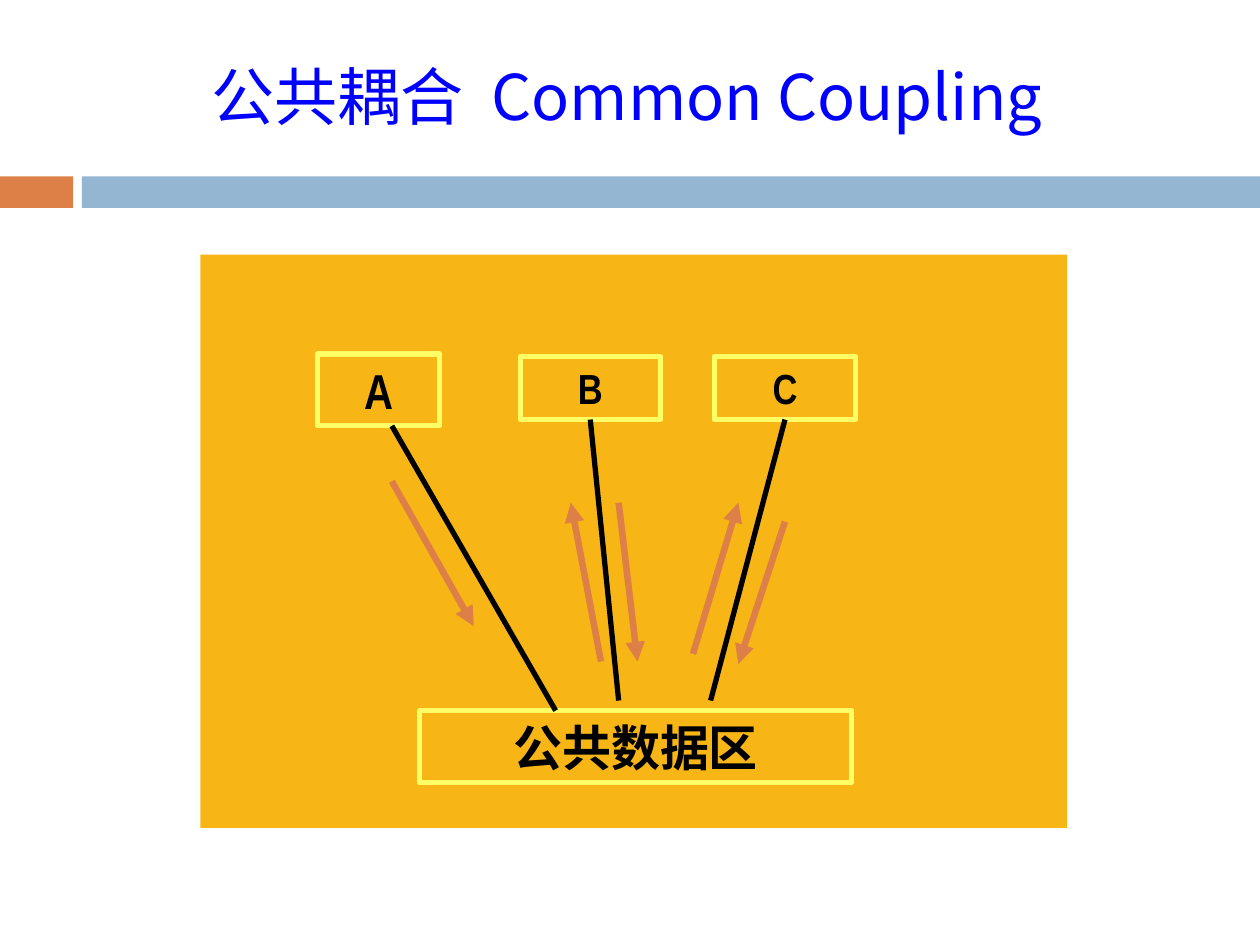
from typing import NamedTuple, Optional

from lxml import etree
from pptx import Presentation
from pptx.dml.color import RGBColor
from pptx.enum import shapes, text
from pptx.oxml import ns
from pptx.util import Inches, Pt

BLACK = RGBColor(0, 0, 0)
BLUE = RGBColor(0, 0, 0xFF)
ORANGE = RGBColor(0xDD, 0x80, 0x47)
SKY = RGBColor(0x94, 0xB6, 0xD2)
GOLD = RGBColor(0xF7, 0xB6, 0x15)
YELLOW = RGBColor(0xFF, 0xFF, 0x66)
HAN = "Noto Sans CJK SC"
LATIN = "Arial Narrow"


class Area(NamedTuple):
    left: float
    top: float
    width: float
    height: float


class Box(NamedTuple):
    label: str
    area: Area
    size: int


class Link(NamedTuple):
    start: tuple[float, float]
    end: tuple[float, float]
    source: Optional[str] = None


BANDS = [
    (Area(0, 1.4, 0.58, 0.25), ORANGE),
    (Area(0.65, 1.4, 9.35, 0.25), SKY),
    (Area(1.59, 2.02, 6.88, 4.55), GOLD),
]
BOXES = [
    Box("A", Area(2.52, 2.81, 0.97, 0.57), 28),
    Box("B", Area(4.13, 2.83, 1.11, 0.5), 24),
    Box("C", Area(5.67, 2.83, 1.12, 0.5), 24),
    Box("公共数据区", Area(3.33, 5.64, 3.43, 0.57), 28),
]
LINKS = [
    Link((4.68, 3.38), (4.91, 5.56), "B"),
    Link((6.23, 3.38), (5.64, 5.56), "C"),
    Link((3.11, 3.38), (4.41, 5.64)),
]
FLOWS = [
    Link((5.5, 5.19), (5.86, 3.99)),
    Link((6.23, 4.14), (5.86, 5.27)),
    Link((4.91, 3.99), (5.06, 5.25)),
    Link((4.77, 5.25), (4.53, 3.99)),
    Link((3.11, 3.82), (3.76, 4.97)),
]


def write(shape, *parts: str, size: int, font: str, color: RGBColor,
          bold: bool = False, gap: int = 0) -> None:
    """Centre the parts in one line; gap (points) widens a lone space."""
    frame = shape.text_frame
    frame.word_wrap = True
    frame.vertical_anchor = text.MSO_ANCHOR.MIDDLE
    para = frame.paragraphs[0]
    para.alignment = text.PP_ALIGN.CENTER
    for part in parts:
        run = para.add_run()
        run.text = part
        run.font.size = Pt(size)
        run.font.name = font
        run.font.bold = bold
        run.font.color.rgb = color
        props = run._r.get_or_add_rPr()
        etree.SubElement(props, ns.qn("a:ea")).set("typeface", HAN)
        if part == " ":
            props.set("spc", str(gap * 100))


def draw_rect(slide, area: Area, fill: Optional[RGBColor] = None,
              edge: Optional[RGBColor] = None):
    rect = slide.shapes.add_shape(
        shapes.MSO_SHAPE.RECTANGLE, *(Inches(n) for n in area))
    rect.shadow.inherit = False
    if fill is None:
        rect.fill.background()
    else:
        rect.fill.solid()
        rect.fill.fore_color.rgb = fill
    if edge is None:
        rect.line.fill.background()
    else:
        rect.line.color.rgb = edge
        rect.line.width = Pt(3)
    return rect


def draw_link(slide, link: Link, color: RGBColor, width: float,
              arrow: bool = False):
    line = slide.shapes.add_connector(
        shapes.MSO_CONNECTOR.STRAIGHT,
        *(Inches(n) for n in link.start + link.end))
    line.line.color.rgb = color
    line.line.width = Pt(width)
    props = line._element.spPr
    if arrow:
        tail = etree.SubElement(props.get_or_add_ln(), ns.qn("a:tailEnd"))
        tail.set("type", "triangle")
    etree.SubElement(props, ns.qn("a:effectLst"))
    return line


def main() -> None:
    deck = Presentation()
    deck.slide_width, deck.slide_height = Inches(10), Inches(7.5)
    slide = deck.slides.add_slide(deck.slide_layouts[6])

    # Bands and panel
    for area, fill in BANDS:
        draw_rect(slide, area, fill=fill)

    # Title
    title = slide.shapes.add_textbox(
        Inches(0.64), Inches(0.36), Inches(8.67), Inches(0.79))
    write(title, "公共耦合", " ", "Common Coupling",
          size=36, font=HAN, color=BLUE, gap=8)

    # Modules and shared data
    rects = {}
    for box in BOXES:
        rect = draw_rect(slide, box.area, edge=YELLOW)
        write(rect, box.label, size=box.size, font=LATIN, color=BLACK,
              bold=True)
        rects[box.label] = rect

    # Links to the shared data
    for link in LINKS:
        line = draw_link(slide, link, BLACK, 3)
        if link.source:
            line.begin_connect(rects[link.source], 2)

    # Data flow arrows
    for flow in FLOWS:
        draw_link(slide, flow, ORANGE, 3.75, arrow=True)

    deck.save("out.pptx")


if __name__ == "__main__":
    main()
